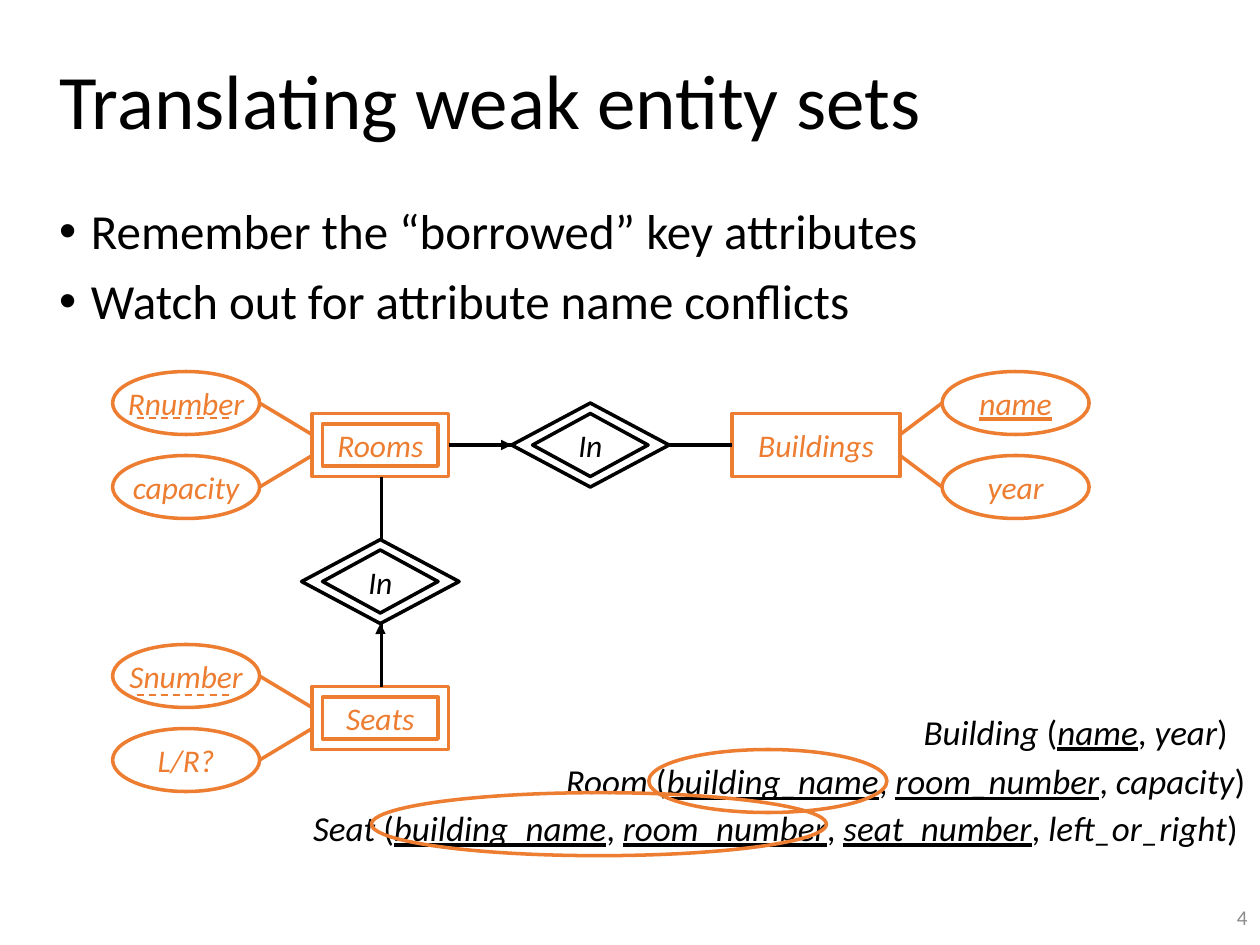
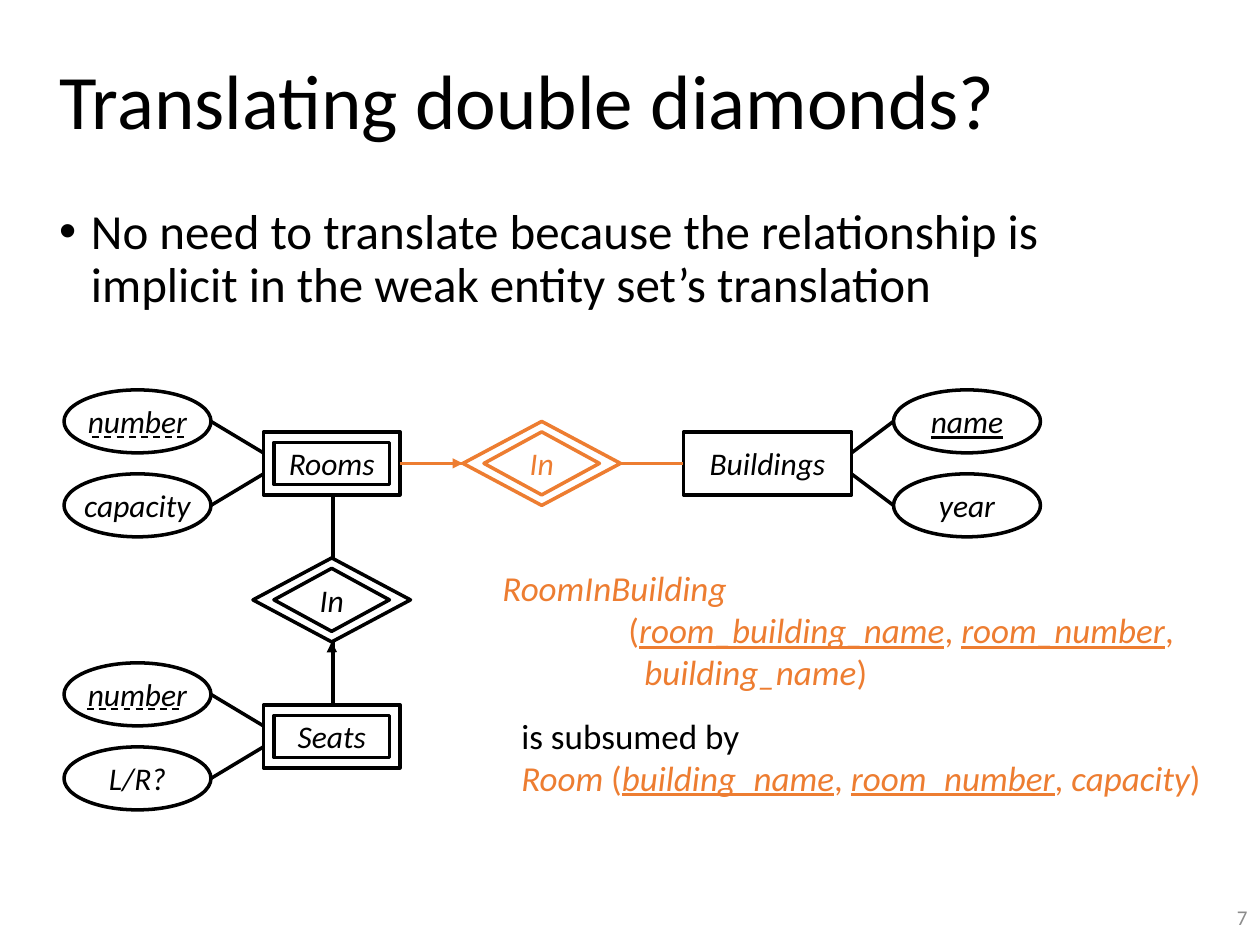
from lxml import etree
from pptx import Presentation
from pptx.dml.color import RGBColor
from pptx.enum import dml, shapes, text
from pptx.oxml import ns
from pptx.util import Cm, Pt

BLACK, ORANGE, GREY = "000000", "ED7D31", "8C8C8C"
GRID = 2.54 / 12  # diagram unit, in cm
RECT = shapes.MSO_SHAPE.RECTANGLE
OVAL = shapes.MSO_SHAPE.OVAL
DIAMOND = shapes.MSO_SHAPE.FLOWCHART_DECISION
LEFT, CENTER, RIGHT = text.PP_ALIGN.LEFT, text.PP_ALIGN.CENTER, text.PP_ALIGN.RIGHT


def write(para, words, size=20, colour=BLACK, align=LEFT, spacing=None, before=0, indent=0, hanging=0):
    """Fill a paragraph; *...* is italic and *#...* is an underlined key."""
    para.alignment, para.line_spacing, para.space_before = align, spacing, Pt(before)
    props = para._p.get_or_add_pPr()
    props.set("marL", str(Cm(indent)))
    props.set("indent", str(Cm(-hanging)))
    for i, part in enumerate(words.split("*")):
        if part:
            span = para.add_run()
            span.text = part.lstrip("#")
            span.font.name, span.font.size = "Calibri", Pt(size)
            span.font.italic = i % 2 == 1
            span.font.underline = part.startswith("#")
            span.font.color.rgb = RGBColor.from_string(colour)


def outline(item, colour, width=2, dashed=False, arrow=False):
    """Set the line of a shape or connector and take away fill and shadow."""
    item.line.color.rgb = RGBColor.from_string(colour)
    item.line.width = Pt(width)
    if dashed:
        item.line.dash_style = dml.MSO_LINE.DASH
    if arrow:
        tail = etree.SubElement(item.line._get_or_add_ln(), ns.qn("a:tailEnd"))
        tail.set("type", "triangle")
    if hasattr(item, "fill"):
        item.fill.background()
        item.shadow.inherit = False
    else:
        etree.SubElement(item._element.spPr, ns.qn("a:effectLst"))


deck = Presentation()
deck.slide_width, deck.slide_height = Cm(25.4), Cm(19.05)

# Per page: diagram corner in cm, colours, weak keys with their dashed
# underlines in grid units, and schemas as (box in cm, align, lines);
# a line is (words, colour, indent).
ROOM = "*Room* (*#building_name*, *#room_number*, *capacity*)"
pages = [
    dict(
        title="Translating weak entity sets", number="4",
        bullets=["Remember the “borrowed” key attributes", "Watch out for attribute name conflicts"],
        corner=(2.27, 7.49), entity=ORANGE, upper=BLACK,
        room_key="Rnumber", seat_key="Snumber",
        dashes=[(2.3, 4.4), (2.3, 30.8)],
        schemas=[
            ((18, 14.2, 7, 1.12), RIGHT, [("*Building* (*#name*, *year*)", BLACK, 0)]),
            ((6.1, 15.19, 19.25, 1.12), RIGHT, [(ROOM, BLACK, 0)]),
            ((5.54, 16.13, 19.66, 1.12), RIGHT,
             [("*Seat* (*#building_name*, *#room_number*, *#seat_number*, *left_or_right*)", BLACK, 0)]),
        ],
        rings=[(13.08, 15.11, 4.8), (7.49, 15.98, 9.17)],
    ),
    dict(
        title="Translating double diamonds?", number="7",
        bullets=["No need to translate because the relationship is implicit in the weak entity set’s translation"],
        corner=(1.29, 7.86), entity=BLACK, upper=ORANGE,
        room_key="number", seat_key="number",
        dashes=[(2.7, 4.5), (2.2, 30.4)],
        schemas=[
            ((9.88, 11.3, 14.33, 2.82), LEFT,
             [("*RoomInBuilding*", ORANGE, 0),
              ("(*#room_building_name*, *#room_number*,", ORANGE, 2.54),
              ("*building_name*)", ORANGE, 2.86)]),
            ((10.26, 14.27, 15.14, 1.96), LEFT, [("is subsumed by", BLACK, 0), (ROOM, ORANGE, 0)]),
        ],
        rings=[],
    ),
]

for content in pages:
    page = deck.slides.add_slide(deck.slide_layouts[1])
    entity, upper = content["entity"], content["upper"]
    x0, y0 = content["corner"]

    title, body = page.placeholders
    title.left, title.top, title.width, title.height = Cm(0.94), Cm(0.46), Cm(24.46), Cm(3.28)
    title.text_frame.vertical_anchor = text.MSO_ANCHOR.MIDDLE
    write(title.text_frame.paragraphs[0], content["title"], size=44, spacing=0.9)

    body.left, body.top, body.width, body.height = Cm(0.94), Cm(4.04), Cm(22.71), Cm(14.63)
    for i, bullet in enumerate(content["bullets"]):
        para = body.text_frame.add_paragraph() if i else body.text_frame.paragraphs[0]
        write(para, bullet, size=28, spacing=0.9, before=10, indent=0.64, hanging=0.64)

    footer = page.shapes.add_textbox(Cm(19.69), Cm(17.98), Cm(5.71), Cm(1.02)).text_frame
    footer.word_wrap = True
    footer.vertical_anchor = text.MSO_ANCHOR.MIDDLE
    write(footer.paragraphs[0], content["number"], size=12, colour=GREY, align=RIGHT)

    # Entities, relationships and attributes, in grid units
    nodes = [
        (RECT, 19, 4, 13, 6, "*Rooms*", entity),
        (RECT, 20, 5, 11, 4, "", entity),
        (RECT, 59, 4, 16, 6, "*Buildings*", entity),
        (RECT, 19, 30, 13, 6, "*Seats*", entity),
        (RECT, 20, 31, 11, 4, "", entity),
        (DIAMOND, 38, 3, 15, 8, "*In*", upper),
        (DIAMOND, 40, 4, 11, 6, "", upper),
        (DIAMOND, 18, 16, 15, 8, "*In*", BLACK),
        (DIAMOND, 20, 17, 11, 6, "", BLACK),
    ]
    links = [
        (32, 7, 38, 7, upper, {}),
        (53, 7, 59, 7, upper, {}),
        (25.6, 10, 25.6, 16, BLACK, {}),
        (25.6, 24, 25.6, 30, BLACK, {}),
        (32, 7, 38, 7, upper, dict(width=0.5, arrow=True)),
        (25.6, 30, 25.5, 24, BLACK, dict(width=0.5, arrow=True)),
    ]
    attributes = [
        (0, 0, 14, 19, content["room_key"], "capacity"),
        (79, 0, 79, 75, "#name", "year"),
        (0, 26, 14, 19, content["seat_key"], "L/R?"),
    ]
    for x, y, near, far, first, second in attributes:
        for row, name in enumerate([first, second]):
            nodes.append((OVAL, x, y + 8 * row, 14, 6, f"*{name}*", entity))
            links.append((near, y + 3 + 8 * row, far, y + 6 + 2 * row, entity, {}))
    for x, y in content["dashes"]:
        links.append((x, y, x + 9, y, entity, dict(width=1, dashed=True)))

    for kind, x, y, width, height, label, colour in nodes:
        box = page.shapes.add_shape(kind, Cm(x0 + x * GRID), Cm(y0 + y * GRID),
                                    Cm(width * GRID), Cm(height * GRID))
        outline(box, colour)
        if label:
            box.text_frame.word_wrap = False
            box.text_frame.vertical_anchor = text.MSO_ANCHOR.MIDDLE
            write(box.text_frame.paragraphs[0], label, size=18, colour=colour, align=CENTER)

    for x1, y1, x2, y2, colour, look in links:
        link = page.shapes.add_connector(
            shapes.MSO_CONNECTOR.STRAIGHT, Cm(x0 + x1 * GRID), Cm(y0 + y1 * GRID),
            Cm(x0 + x2 * GRID), Cm(y0 + y2 * GRID))
        outline(link, colour, **look)

    for place, align, lines in content["schemas"]:
        frame = page.shapes.add_textbox(*map(Cm, place)).text_frame
        frame.word_wrap = True
        for i, (words, colour, indent) in enumerate(lines):
            para = frame.add_paragraph() if i else frame.paragraphs[0]
            write(para, words, colour=colour, align=align, indent=indent)

    for left, top, width in content["rings"]:
        outline(page.shapes.add_shape(OVAL, Cm(left), Cm(top), Cm(width), Cm(1.27)), ORANGE)

deck.save("out.pptx")
